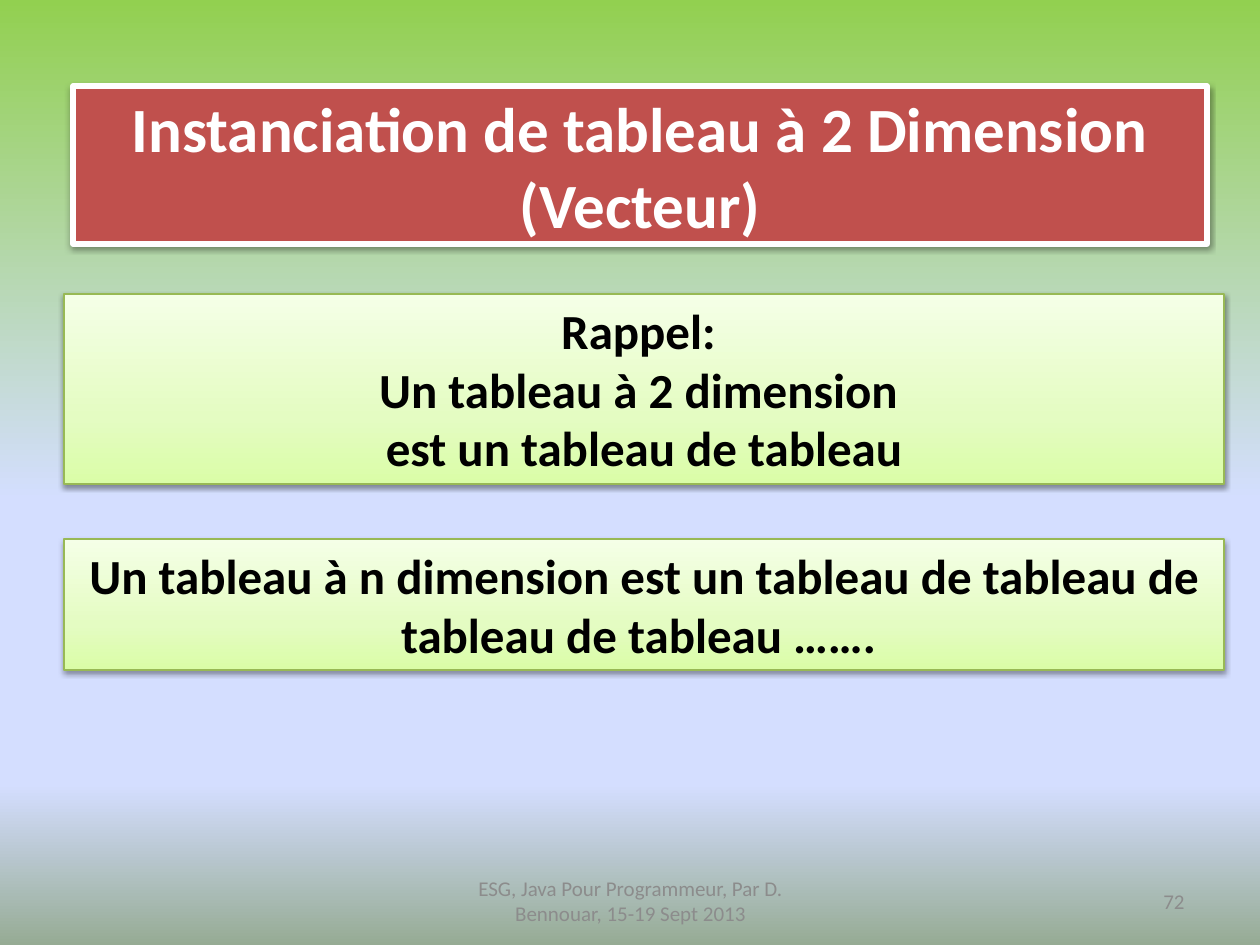
"""Build the slide on instantiating two-dimensional arrays."""
from lxml import etree
from pptx import Presentation
from pptx import util as u
from pptx.dml.color import RGBColor
from pptx.enum import shapes, text
from pptx.oxml.ns import qn

PX = 914400 // 126
WHITE = RGBColor(0xFF, 0xFF, 0xFF)
BLACK = RGBColor(0, 0, 0)
RED = RGBColor(0xC0, 0x50, 0x4D)
GREY = RGBColor(0x8C, 0x8C, 0x8C)
GREEN = RGBColor(0x98, 0xB9, 0x55)
MEADOW = RGBColor(0x92, 0xD0, 0x50)
SKY = RGBColor(0xD4, 0xDE, 0xFF)
SAGE = RGBColor(0x96, 0xAB, 0x94)
LIME = RGBColor(0xDA, 0xFD, 0xA7)
PALE_LIME = RGBColor(0xE4, 0xFC, 0xC2)
CREAM = RGBColor(0xF5, 0xFF, 0xE7)

BACKDROP = ([(0, MEADOW), (53, SKY), (83, SKY), (100, SAGE)], 90)
PANEL = ([(0, LIME), (35, PALE_LIME), (100, CREAM)], 270)
CENTER, RIGHT = text.PP_ALIGN.CENTER, text.PP_ALIGN.RIGHT
TOP, MIDDLE = text.MSO_ANCHOR.TOP, text.MSO_ANCHOR.MIDDLE
TITLE_FONT = {"size": u.Pt(36), "bold": True, "color": WHITE}
PANEL_FONT = {"size": u.Pt(28), "bold": True, "color": BLACK}
FOOTER_FONT = {"size": u.Pt(12), "bold": False, "color": GREY}

TITLE = ["Instanciation de tableau à 2 Dimension\v(Vecteur)"]
PANELS = [
    (294, 190, ["Rappel: ", "Un tableau à 2 dimension ", "est un tableau de tableau"]),
    (539, 131, ["Un tableau à n dimension est un tableau de tableau de tableau de tableau ……. "]),
]
FOOTERS = [
    (431, 399, CENTER, "ESG, Java Pour Programmeur, Par D. Bennouar, 15-19 Sept 2013"),
    (903, 294, RIGHT, "72"),
]


def set_gradient(fill, owner, stops, angle):
    fill.gradient()
    gradient = next(owner.iter(qn("a:gradFill")))
    for child in list(gradient):
        gradient.remove(child)
    stop_list = etree.SubElement(gradient, qn("a:gsLst"))
    for position, color in stops:
        stop = etree.SubElement(stop_list, qn("a:gs"), pos=str(position * 1000))
        etree.SubElement(stop, qn("a:srgbClr"), val=str(color))
    etree.SubElement(gradient, qn("a:lin"), ang=str(angle * 60000), scaled="0")


def write(shape, lines, font, align, anchor):
    frame = shape.text_frame
    frame.word_wrap = True
    frame.vertical_anchor = anchor
    frame.text = "\n".join(lines)
    for paragraph in frame.paragraphs:
        paragraph.alignment = align
        paragraph.font.name = "Calibri"
        for run in paragraph.runs:
            run.font.name = "Calibri"
            run.font.color.rgb = font["color"]
            for key in ("size", "bold"):
                setattr(run.font, key, font[key])


def add_card(slide, box, line_color, line_width):
    card = slide.shapes.add_shape(
        shapes.MSO_SHAPE.RECTANGLE, *(value * PX for value in box))
    card.line.color.rgb = line_color
    card.line.width = u.Pt(line_width)
    card.shadow.inherit = False
    effects = card._element.spPr.find(qn("a:effectLst"))
    shadow = etree.SubElement(effects, qn("a:outerShdw"), blurRad="40000",
                              dist="20000", dir="5400000", rotWithShape="0")
    color = etree.SubElement(shadow, qn("a:srgbClr"), val=str(BLACK))
    etree.SubElement(color, qn("a:alpha"), val="38000")
    return card


def main():
    deck = Presentation()
    deck.slide_width, deck.slide_height = u.Inches(10), u.Inches(7.5)
    slide = deck.slides.add_slide(deck.slide_layouts[6])
    set_gradient(slide.background.fill, slide._element, *BACKDROP)

    title = add_card(slide, (73, 86, 1134, 158), WHITE, 3)
    title.fill.solid()
    title.fill.fore_color.rgb = RED
    write(title, TITLE, TITLE_FONT, CENTER, MIDDLE)

    for left, width, align, words in FOOTERS:
        footer = slide.shapes.add_textbox(left * PX, 876 * PX, width * PX, 50 * PX)
        write(footer, [words], FOOTER_FONT, align, MIDDLE)

    for top, height, lines in PANELS:
        panel = add_card(slide, (64, top, 1160, height), GREEN, 0.75)
        set_gradient(panel.fill, panel._element, *PANEL)
        write(panel, lines, PANEL_FONT, CENTER, TOP)
        panel.text_frame.auto_size = text.MSO_AUTO_SIZE.SHAPE_TO_FIT_TEXT

    deck.save("out.pptx")


if __name__ == "__main__":
    main()
